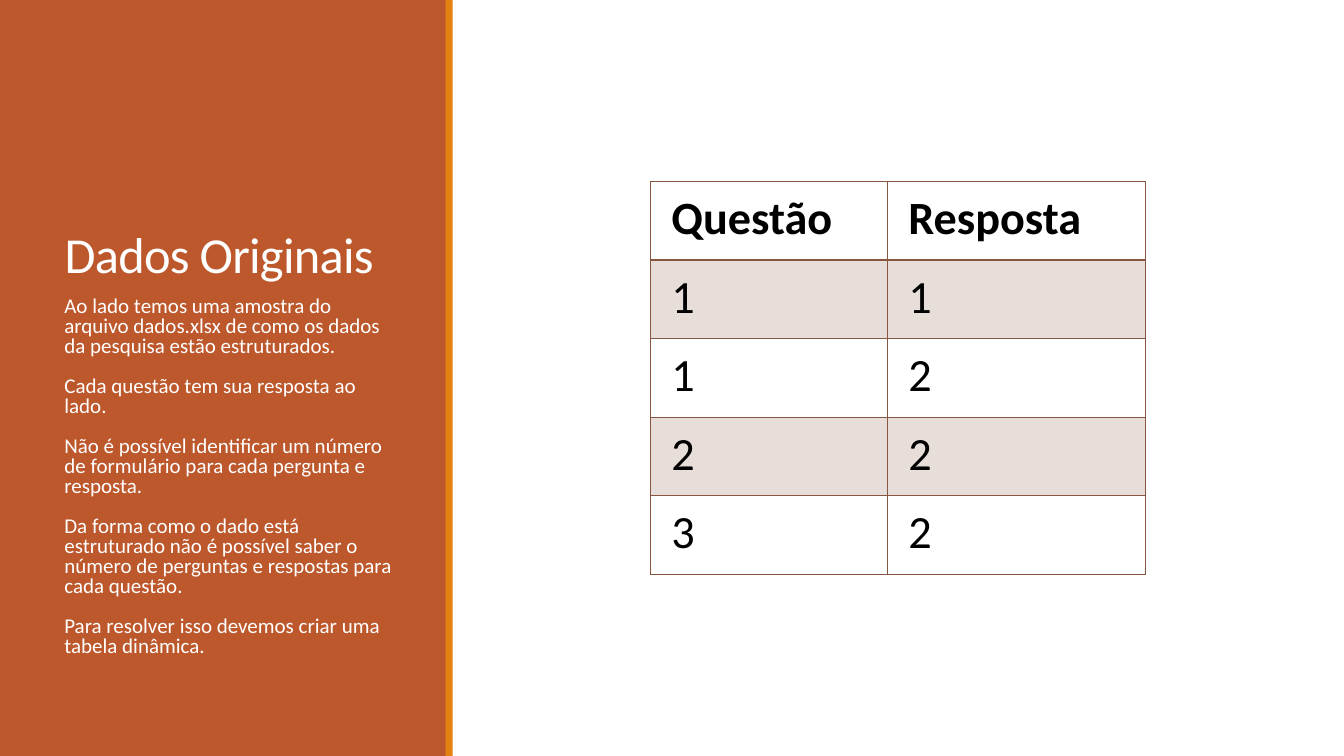
import pptx
import pptx.dml.color
import pptx.enum.shapes
import pptx.enum.text
import pptx.oxml
import pptx.oxml.ns
import pptx.util
from pptx.util import Inches

FONT = "Calibri"
RUST, ORANGE, BROWN, BAND = "BD582C", "E48312", "865640", "E7DDD9"
WHITE, BLACK = "FFFFFF", "000000"

EXPLANATION = [
    "Ao lado temos uma amostra do arquivo dados.xlsx de como os dados da pesquisa estão estruturados.",
    "Cada questão tem sua resposta ao lado.",
    "Não é possível identificar um número de formulário para cada pergunta e resposta.",
    "Da forma como o dado está estruturado não é possível saber o número de perguntas "
    "e respostas para cada questão.",
    "Para resolver isso devemos criar uma tabela dinâmica.",
]
ANSWERS = [("Questão", "Resposta"), ("1", "1"), ("1", "2"), ("2", "2"), ("3", "2")]


def color(hex_value):
    return pptx.dml.color.RGBColor.from_string(hex_value)


def write(paragraph, text, size, hex_value, bold=False, line_spacing=1.0,
          before=0, after=0, tracking=None):
    run = paragraph.add_run()
    run.text = text
    run.font.name = FONT
    run.font.size = pptx.util.Pt(size)
    run.font.bold = bold
    run.font.color.rgb = color(hex_value)
    if tracking is not None:
        run.font._element.set("spc", str(int(tracking * 100)))
    paragraph.alignment = pptx.enum.text.PP_ALIGN.LEFT
    paragraph.line_spacing = line_spacing
    paragraph.space_before = pptx.util.Pt(before)
    paragraph.space_after = pptx.util.Pt(after)


def add_bar(slide, left, width, hex_value):
    """Add a full-height vertical band."""
    bar = slide.shapes.add_shape(pptx.enum.shapes.MSO_SHAPE.RECTANGLE,
                                 Inches(left), 0, Inches(width), Inches(7.5))
    bar.shadow.inherit = False
    bar.fill.solid()
    bar.fill.fore_color.rgb = color(hex_value)
    bar.line.fill.background()


def format_title(slide, text):
    title = slide.shapes.title
    title.left, title.top = Inches(0.54), Inches(0.57)
    title.width, title.height = Inches(3.37), Inches(2.3)
    frame = title.text_frame
    frame.word_wrap = True
    frame.auto_size = pptx.enum.text.MSO_AUTO_SIZE.NONE
    frame.vertical_anchor = pptx.enum.text.MSO_ANCHOR.BOTTOM
    write(frame.paragraphs[0], text, 36, WHITE, line_spacing=0.85, tracking=-0.5)


def add_explanation(slide, texts):
    box = slide.shapes.add_textbox(Inches(0.54), Inches(2.9), Inches(3.37), Inches(4.03))
    frame = box.text_frame
    frame.word_wrap = True
    frame.margin_left, frame.margin_right = Inches(0.1), 0
    for index, text in enumerate(texts):
        paragraph = frame.add_paragraph() if index else frame.paragraphs[0]
        write(paragraph, text, 15, WHITE, line_spacing=0.8,
              before=12 if index else 0, after=2)


def set_borders(cell, top, bottom):
    """Draw the four cell borders; top and bottom are widths in points."""
    properties = cell._tc.get_or_add_tcPr()
    for side, width in (("L", 1), ("R", 1), ("T", top), ("B", bottom)):
        properties.append(pptx.oxml.parse_xml(
            f'<a:ln{side} {pptx.oxml.ns.nsdecls("a")} w="{pptx.util.Pt(width)}">'
            f'<a:solidFill><a:srgbClr val="{BROWN}"/></a:solidFill></a:ln{side}>'))


def add_answer_table(slide, rows):
    table = slide.shapes.add_table(len(rows), 2, Inches(6.45), Inches(1.8),
                                   Inches(4.91), Inches(3.9)).table
    table.horz_banding = False
    table.columns[0].width, table.columns[1].width = Inches(2.35), Inches(2.56)
    for row, values in enumerate(rows):
        table.rows[row].height = Inches(0.78)
        for column, value in enumerate(values):
            cell = table.cell(row, column)
            cell.margin_left = cell.margin_right = Inches(0.21)
            cell.margin_top = cell.margin_bottom = Inches(0.09)
            set_borders(cell, top=2 if row == 1 else 1, bottom=2 if row == 0 else 1)
            if row % 2:
                cell.fill.solid()
                cell.fill.fore_color.rgb = color(BAND)
            else:
                cell.fill.background()
            write(cell.text_frame.paragraphs[0], value, 33, BLACK, bold=row == 0)


def main():
    presentation = pptx.Presentation()
    presentation.slide_width, presentation.slide_height = Inches(13.33), Inches(7.5)
    slide = presentation.slides.add_slide(presentation.slide_layouts[5])
    add_bar(slide, 0, 4.43, RUST)
    add_bar(slide, 4.42, 0.07, ORANGE)
    # The title is moved in front of the bands.
    slide.shapes._spTree.append(slide.shapes.title._element)
    format_title(slide, "Dados Originais")
    add_explanation(slide, EXPLANATION)
    add_answer_table(slide, ANSWERS)
    presentation.save("out.pptx")


if __name__ == "__main__":
    main()
